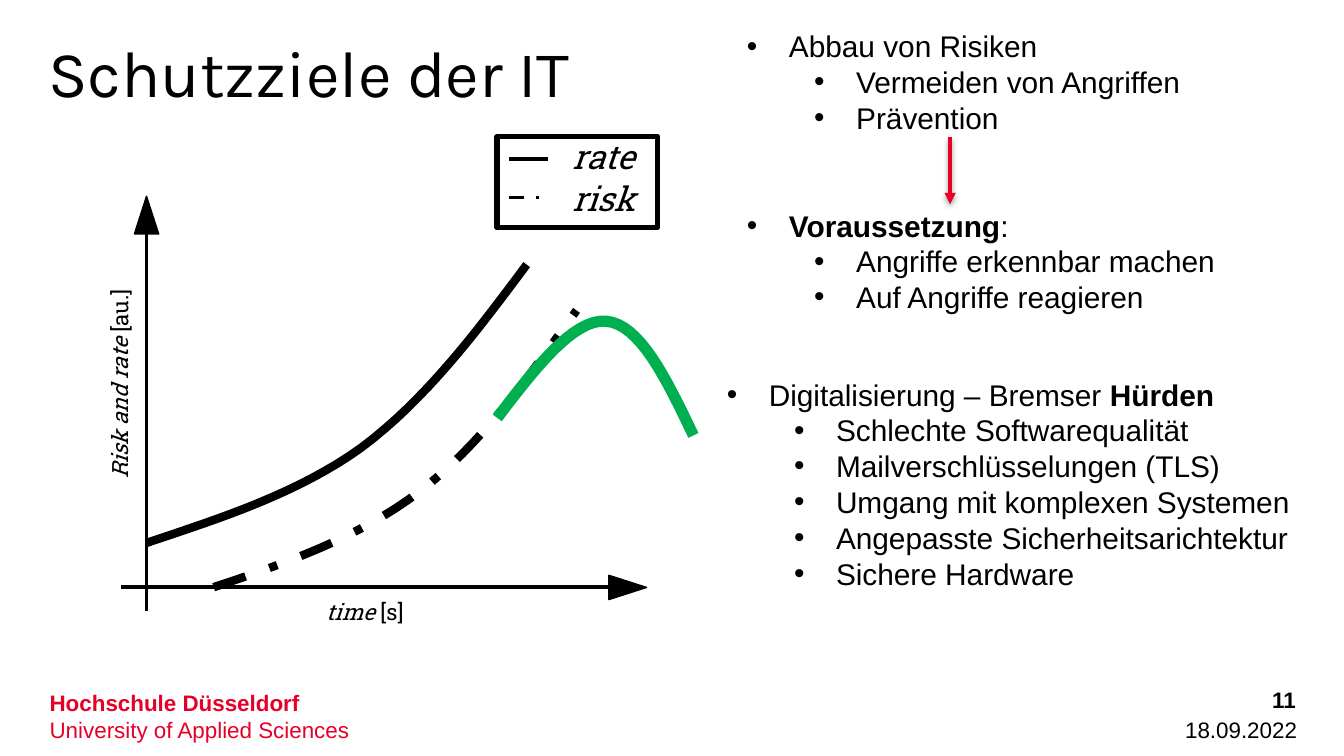
from lxml import etree
from pptx import Presentation
from pptx.dml.color import RGBColor
from pptx.enum.dml import MSO_LINE
from pptx.enum.shapes import MSO_CONNECTOR as Connector, MSO_SHAPE as Shape
from pptx.enum.text import MSO_ANCHOR as Anchor, PP_ALIGN as Align
from pptx.oxml import parse_xml
from pptx.oxml.ns import nsdecls, qn
from pptx.util import Pt

COLORS = {"black": "000000", "white": "FFFFFF", "red": "E60028", "green": "00B050"}
BULLET_LINE = 19.2
CURVE_STEPS = 16

RISK_BULLETS = [
    (0, [("Abbau von Risiken", False)]),
    (1, [("Vermeiden von Angriffen", False)]),
    (1, [("Prävention", False)]),
    (0, [("Voraussetzung", True), (":", False)]),
    (1, [("Angriffe erkennbar machen", False)]),
    (1, [("Auf Angriffe reagieren", False)]),
]
HURDLE_BULLETS = [
    (0, [("Digitalisierung – Bremser ", False), ("Hürden", True)]),
    (1, [("Schlechte Softwarequalität", False)]),
    (1, [("Mailverschlüsselungen (TLS)", False)]),
    (1, [("Umgang mit komplexen Systemen", False)]),
    (1, [("Angepasste Sicherheitsarichtektur", False)]),
    (1, [("Sichere Hardware", False)]),
]


def rgb(name):
    return RGBColor.from_string(COLORS[name])


def style_font(paragraph, name, size, color="black"):
    paragraph.font.name = name
    paragraph.font.size = Pt(size)
    paragraph.font.color.rgb = rgb(color)


def add_frame(slide, left, top, width, height, rotation=0):
    box = slide.shapes.add_textbox(Pt(left), Pt(top), Pt(width), Pt(height))
    box.rotation = rotation
    box.text_frame.word_wrap = True
    return box.text_frame


def add_paragraph(frame, index):
    return frame.add_paragraph() if index else frame.paragraphs[0]


def add_label(slide, box, text, font, size, color="black", bold=False,
              align=Align.LEFT, anchor=Anchor.TOP):
    frame = add_frame(slide, *box)
    frame.vertical_anchor = anchor
    paragraph = frame.paragraphs[0]
    paragraph.text = text
    paragraph.alignment = align
    style_font(paragraph, font, size, color)
    paragraph.font.bold = bold


def add_axis_label(slide, box, quantity, unit, rotation=0):
    paragraph = add_frame(slide, *box, rotation).paragraphs[0]
    style_font(paragraph, "Roboto Slab", 12)
    for text, italic in ((quantity, True), (unit, False)):
        run = paragraph.add_run()
        run.text = text
        run.font.italic = italic


def add_bullets(slide, box, items):
    frame = add_frame(slide, *box)
    for index, (level, parts) in enumerate(items):
        paragraph = add_paragraph(frame, index)
        paragraph.level = level
        paragraph.line_spacing = Pt(BULLET_LINE)
        if index and level == 0:
            paragraph.space_before = Pt(2 * BULLET_LINE)
        properties = paragraph._p.get_or_add_pPr()
        properties.set("marL", str(Pt(22.5 + 36 * level)))
        properties.set("indent", str(Pt(-22.5)))
        etree.SubElement(properties, qn("a:buFont"), typeface="Arial")
        etree.SubElement(properties, qn("a:buChar"), char="•")
        style_font(paragraph, "Arial", 16)
        for text, bold in parts:
            run = paragraph.add_run()
            run.text = text
            run.font.bold = bold


def add_footer(slide):
    frame = add_frame(slide, 19.5, 365.8, 219.6, 36)
    lines = ("Hochschule Düsseldorf", "University of Applied Sciences")
    for index, text in enumerate(lines):
        paragraph = add_paragraph(frame, index)
        paragraph.text = text
        style_font(paragraph, "Arial", 12, "red")
        paragraph.font.bold = index == 0


def style_line(line, width, color="black", dash=None):
    line.width = Pt(width)
    line.color.rgb = rgb(color)
    if dash:
        line.dash_style = dash


def add_line(slide, start, end, color="black", dash=None):
    connector = slide.shapes.add_connector(
        Connector.STRAIGHT, *(Pt(value) for value in (*start, *end)))
    style_line(connector.line, 2, color, dash)
    etree.SubElement(connector._element.spPr, qn("a:effectLst"))
    return connector


def add_shadowed_arrow(slide, start, end):
    arrow = add_line(slide, start, end, "red")
    properties = arrow._element.spPr
    etree.SubElement(properties.find(qn("a:ln")), qn("a:tailEnd"), type="triangle")
    properties.find(qn("a:effectLst")).append(parse_xml(
        f'<a:outerShdw {nsdecls("a")} blurRad="{Pt(3.1)}" dist="{Pt(1.6)}" '
        f'dir="5400000" rotWithShape="0"><a:srgbClr val="{COLORS["black"]}">'
        '<a:alpha val="38000"/></a:srgbClr></a:outerShdw>'))


def add_shape(slide, kind, box, line_width, fill=None, rotation=0):
    shape = slide.shapes.add_shape(kind, *(Pt(value) for value in box))
    shape.shadow.inherit = False
    shape.rotation = rotation
    if fill:
        shape.fill.solid()
        shape.fill.fore_color.rgb = rgb(fill)
    else:
        shape.fill.background()
    style_line(shape.line, line_width)


def bezier_points(a, b, c, d):
    """Sample a cubic curve, leaving out its start point."""
    for step in range(1, CURVE_STEPS + 1):
        t = step / CURVE_STEPS
        u = 1 - t
        yield tuple(Pt(u**3 * p + 3 * u * u * t * q + 3 * u * t * t * r + t**3 * s)
                    for p, q, r, s in zip(a, b, c, d))


def add_curve(slide, points, width, color="black", dash=None):
    """Draw joined cubic curves; each takes three points after the start."""
    builder = slide.shapes.build_freeform(*(Pt(value) for value in points[0]))
    for first in range(0, len(points) - 1, 3):
        builder.add_line_segments(bezier_points(*points[first:first + 4]), close=False)
    curve = builder.convert_to_shape()
    curve.shadow.inherit = False
    curve.fill.background()
    style_line(curve.line, width, color, dash)


def add_legend(slide):
    frame = add_frame(slide, 299.5, 69.1, 171.4, 72.7)
    entries = (("rate", 85, None), ("risk", 105.8, MSO_LINE.DASH_DOT))
    for index, (text, y, dash) in enumerate(entries):
        paragraph = add_paragraph(frame, index)
        paragraph.text = text
        paragraph.line_spacing = Pt(22)
        style_font(paragraph, "Roboto Slab", 18)
        paragraph.font.italic = True
        add_line(slide, (272.9, y), (293.8, y), dash=dash)
    add_shape(slide, Shape.RECTANGLE, (266.4, 73.2, 85.9, 48.8), 3)


def add_diagram(slide):
    add_line(slide, (78.5, 121.7), (78.5, 327.6))
    add_line(slide, (333.4, 314.6), (64.8, 314.6))
    for left, top, rotation in ((72, 105.1, 0), (329.8, 304.6, 90)):
        add_shape(slide, Shape.ISOSCELES_TRIANGLE, (left, top, 13, 20.2), 0.75,
                  "black", rotation)
    add_axis_label(slide, (167.8, 316.8, 135.4, 21.6), "time ", "[s]")
    add_axis_label(slide, (-3.6, 185, 135.4, 21.6), "Risk and rate", " [au.]", 270)
    add_curve(slide, [(78.5, 290.9), (119.5, 277.2), (159.8, 264.2), (193.7, 239.8),
                      (227.5, 214.6), (254.9, 178.6), (282.2, 141.8)], 4.5)
    add_curve(slide, [(114.5, 314.6), (153.4, 301.7), (192.2, 288), (224.6, 263.5),
                      (257, 239), (283, 202.3), (308.9, 166.3)], 4.5,
              dash=MSO_LINE.DASH_DOT)
    add_legend(slide)
    add_curve(slide, [(266.4, 223.9), (286.6, 197.3), (307.4, 170.6), (324.7, 172.1),
                      (342.7, 173.5), (357.1, 203), (371.5, 233.3)], 6, "green")


def main():
    presentation = Presentation()
    presentation.slide_width, presentation.slide_height = Pt(720), Pt(405)
    slide = presentation.slides.add_slide(presentation.slide_layouts[6])
    slide.background.fill.solid()
    slide.background.fill.fore_color.rgb = rgb("white")
    add_footer(slide)
    add_label(slide, (18.7, 13.5, 681.8, 64.8), "Schutzziele der IT", "Karla", 35)
    add_label(slide, (626.4, 376.6, 75.6, 28.1), "18.09.2022", "Arial", 12,
              align=Align.RIGHT, anchor=Anchor.MIDDLE)
    add_label(slide, (616.3, 364.3, 85, 26.6), "11", "Arial", 12, bold=True,
              align=Align.RIGHT)
    add_diagram(slide)
    add_bullets(slide, (382.3, 198, 333.4, 123.8), HURDLE_BULLETS)
    add_bullets(slide, (393.1, 11.5, 273.6, 162.7), RISK_BULLETS)
    add_shadowed_arrow(slide, (509, 73.4), (509, 109.4))
    presentation.save("out.pptx")


if __name__ == "__main__":
    main()
